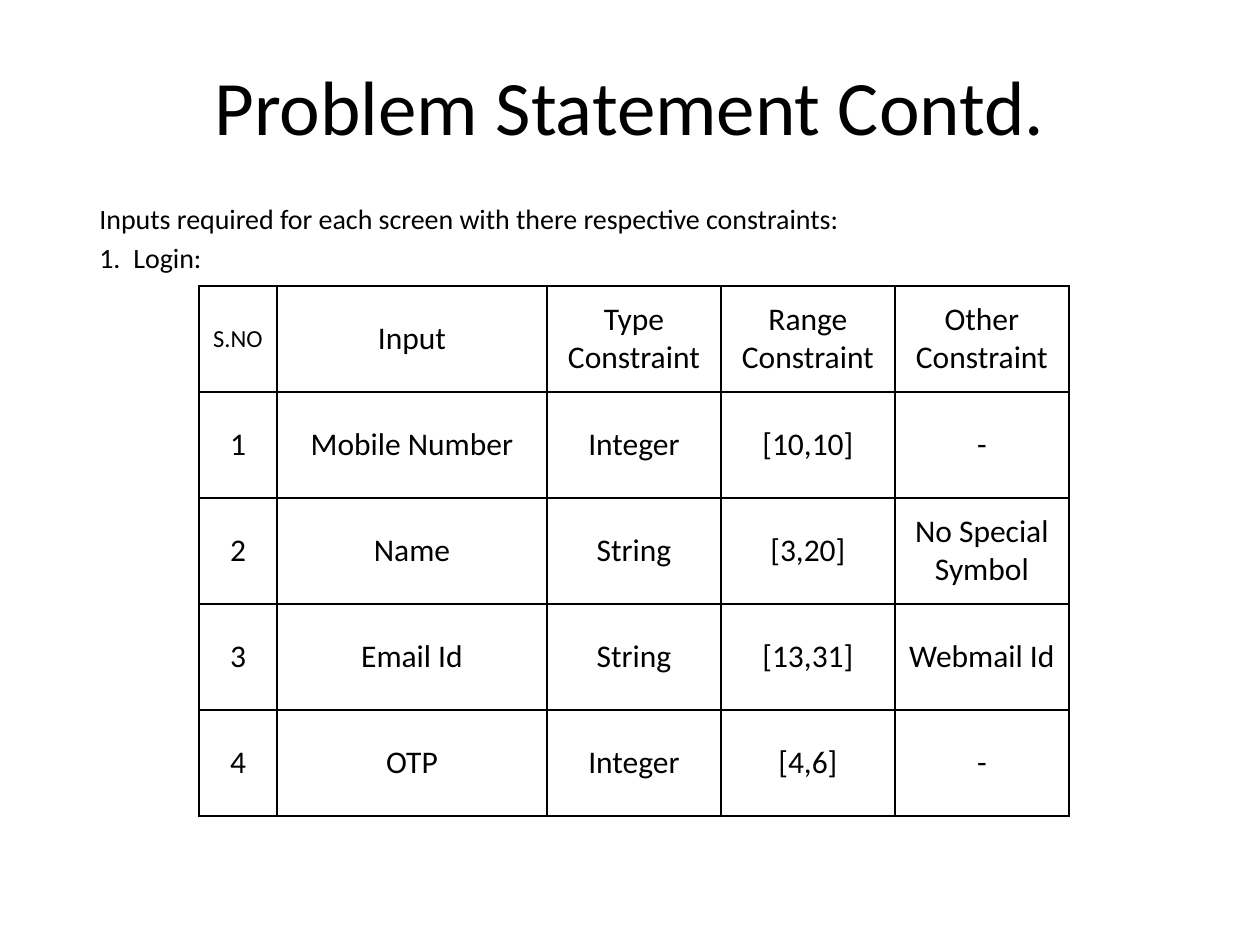
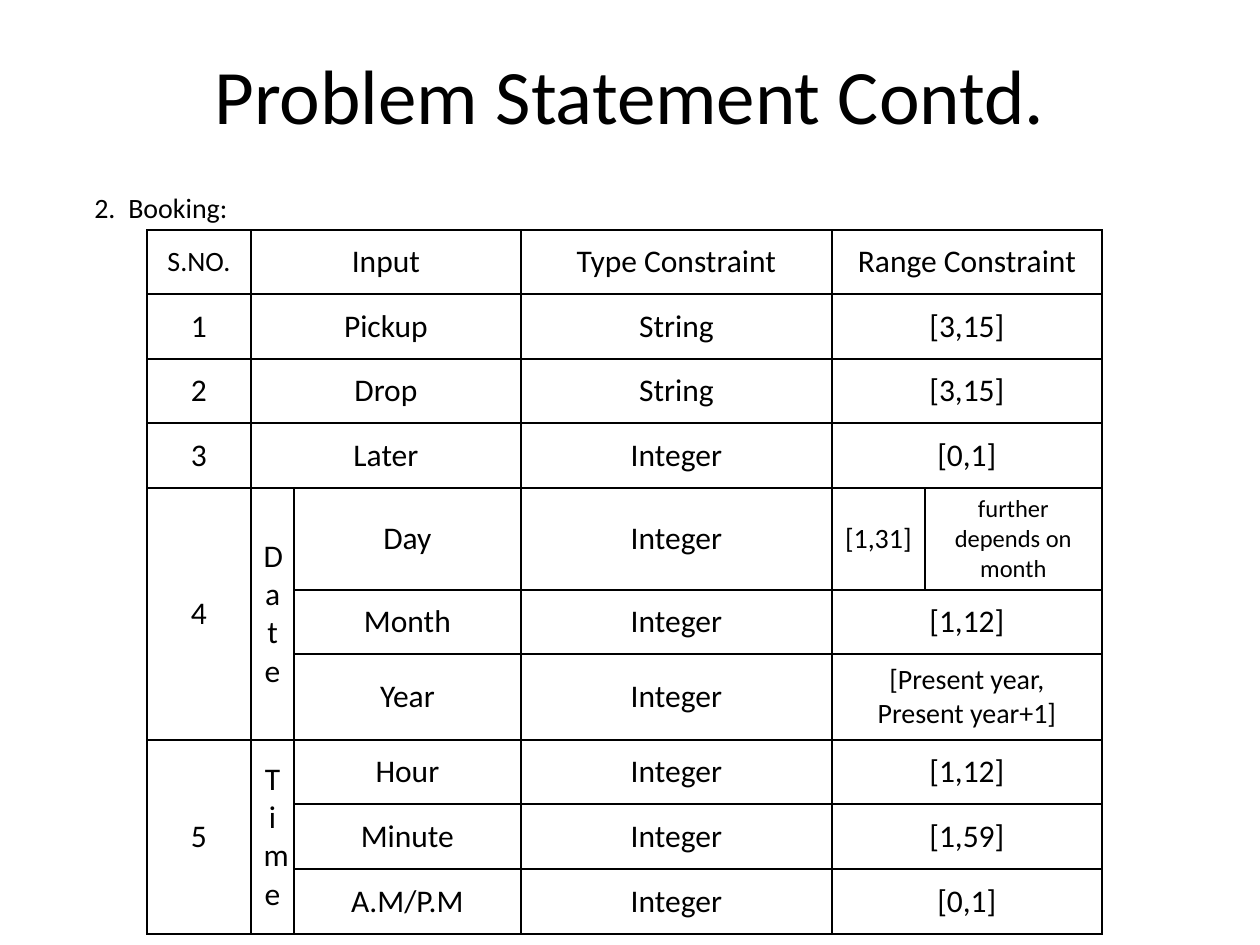
import dataclasses
import typing

import lxml.etree
import pptx
import pptx.dml.color
import pptx.enum.text
import pptx.oxml.ns
import pptx.util

SLIDE_WIDTH, SLIDE_HEIGHT = 1260, 945
EMU_PER_PIXEL = 914400 / 126
FONT = "Calibri"
COLOURS = {"paper": "FFFFFF", "ink": "000000", "rule": "000000"}
TITLE = "Problem Statement Contd."
TITLE_SIZE, INTRO_SIZE, CELL_SIZE = 44, 16, 18
LIST_INDENT = 34
LEFT_MERGE, UP_MERGE = "<", "^"
CENTER = pptx.enum.text.PP_ALIGN.CENTER
LEFT = pptx.enum.text.PP_ALIGN.LEFT
MIDDLE = pptx.enum.text.MSO_ANCHOR.MIDDLE
TOP = pptx.enum.text.MSO_ANCHOR.TOP


class Area(typing.NamedTuple):
    left: int
    top: int
    width: int
    height: int


@dataclasses.dataclass
class Grid:
    left: int
    top: int
    columns: list[int]
    heights: list[int]
    cells: list[list[str]]
    small_texts: dict[str, int]


@dataclasses.dataclass
class ConstraintPage:
    title_area: Area
    intro_area: Area
    intro: list[str]
    grid: Grid


LOGIN = ConstraintPage(
    title_area=Area(63, 26, 1134, 158),
    intro_area=Area(87, 195, 1096, 712),
    intro=[
        "Inputs required for each screen with there respective constraints:",
        "1.\tLogin:",
    ],
    grid=Grid(
        left=199,
        top=286,
        columns=[78, 270] + [174] * 3,
        heights=[106] * 5,
        cells=[
            ["S.NO", "Input", "Type Constraint", "Range Constraint", "Other Constraint"],
            ["1", "Mobile Number", "Integer", "[10,10]", "-"],
            ["2", "Name", "String", "[3,20]", "No Special Symbol"],
            ["3", "Email Id", "String", "[13,31]", "Webmail Id"],
            ["4", "OTP", "Integer", "[4,6]", "-"],
        ],
        small_texts={"S.NO": 14},
    ),
)

BOOKING = ConstraintPage(
    title_area=Area(63, 15, 1134, 158),
    intro_area=Area(82, 184, 1096, 750),
    intro=["2.\tBooking:"],
    grid=Grid(
        left=147,
        top=230,
        columns=[104, 43, 227, 311, 93, 177],
        heights=[64, 65, 64, 65, 102, 64, 86, 64, 65, 65],
        cells=[
            ["S.NO.", "Input", "<", "Type Constraint", "Range Constraint", "<"],
            ["1", "Pickup", "<", "String", "[3,15]", "<"],
            ["2", "Drop", "<", "String", "[3,15]", "<"],
            ["3", "Later", "<", "Integer", "[0,1]", "<"],
            ["4", "Date", "Day", "Integer", "[1,31]", "further depends on month"],
            ["^", "^", "Month", "Integer", "[1,12]", "<"],
            ["^", "^", "Year", "Integer", "[Present year, Present year+1]", "<"],
            ["5", "Time", "Hour", "Integer", "[1,12]", "<"],
            ["^", "^", "Minute", "Integer", "[1,59]", "<"],
            ["^", "^", "A.M/P.M", "Integer", "[0,1]", "<"],
        ],
        small_texts={
            "S.NO.": 16,
            "[1,31]": 16,
            "further depends on month": 14,
            "[Present year, Present year+1]": 16,
        },
    ),
)


def emu(pixels: int) -> int:
    return round(pixels * EMU_PER_PIXEL)


def colour(name: str) -> pptx.dml.color.RGBColor:
    return pptx.dml.color.RGBColor.from_string(COLOURS[name])


def format_paragraph(para, size: int, alignment) -> None:
    para.alignment = alignment
    for span in para.runs:
        span.font.name = FONT
        span.font.size = pptx.util.Pt(size)
        span.font.bold = False
        span.font.color.rgb = colour("ink")


def add_text(page, area: Area, lines: list[str], size: int, alignment, anchor):
    box = page.shapes.add_textbox(*map(emu, area))
    frame = box.text_frame
    frame.word_wrap = True
    frame.vertical_anchor = anchor
    frame.text = "\n".join(lines)
    for para in frame.paragraphs:
        format_paragraph(para, size, alignment)
    return box


def add_intro(page, area: Area, lines: list[str]) -> None:
    box = add_text(page, area, lines, INTRO_SIZE, LEFT, TOP)
    for para in box.text_frame.paragraphs:
        para.space_before = pptx.util.Pt(INTRO_SIZE * 0.2)
        if "\t" in para.text:
            properties = para._p.get_or_add_pPr()
            properties.set("marL", str(emu(LIST_INDENT)))
            properties.set("indent", str(-emu(LIST_INDENT)))


def rule_cell(cell) -> None:
    properties = cell._tc.get_or_add_tcPr()
    qualified = pptx.oxml.ns.qn
    for side in ("lnL", "lnR", "lnT", "lnB"):
        line = lxml.etree.SubElement(properties, qualified(f"a:{side}"), w="12700")
        fill = lxml.etree.SubElement(line, qualified("a:solidFill"))
        lxml.etree.SubElement(fill, qualified("a:srgbClr"), val=COLOURS["rule"])
    cell.fill.background()


def merge_cells(table, cells: list[list[str]]) -> None:
    for row, texts in enumerate(cells):
        for column, text in enumerate(texts):
            if text in (LEFT_MERGE, UP_MERGE):
                continue
            last_row, last_column = row, column
            while last_column + 1 < len(texts) and texts[last_column + 1] == LEFT_MERGE:
                last_column += 1
            while last_row + 1 < len(cells) and cells[last_row + 1][column] == UP_MERGE:
                last_row += 1
            if (last_row, last_column) != (row, column):
                table.cell(row, column).merge(table.cell(last_row, last_column))


def add_grid(page, grid: Grid) -> None:
    area = Area(grid.left, grid.top, sum(grid.columns), sum(grid.heights))
    table = page.shapes.add_table(
        len(grid.heights), len(grid.columns), *map(emu, area)
    ).table
    table.first_row = False
    table.horz_banding = False
    for column, width in zip(table.columns, grid.columns):
        column.width = emu(width)
    for row, height in zip(table.rows, grid.heights):
        row.height = emu(height)
    for row, texts in enumerate(grid.cells):
        for column, text in enumerate(texts):
            cell = table.cell(row, column)
            rule_cell(cell)
            cell.vertical_anchor = MIDDLE
            if text not in (LEFT_MERGE, UP_MERGE):
                cell.text_frame.text = text
                size = grid.small_texts.get(text, CELL_SIZE)
                format_paragraph(cell.text_frame.paragraphs[0], size, CENTER)
    merge_cells(table, grid.cells)


def add_page(deck, content: ConstraintPage) -> None:
    page = deck.slides.add_slide(deck.slide_layouts[6])
    page.background.fill.solid()
    page.background.fill.fore_color.rgb = colour("paper")
    add_text(page, content.title_area, [TITLE], TITLE_SIZE, CENTER, MIDDLE)
    add_intro(page, content.intro_area, content.intro)
    add_grid(page, content.grid)


def main() -> None:
    deck = pptx.Presentation()
    deck.slide_width = emu(SLIDE_WIDTH)
    deck.slide_height = emu(SLIDE_HEIGHT)
    for content in (LOGIN, BOOKING):
        add_page(deck, content)
    deck.save("out.pptx")


main()
